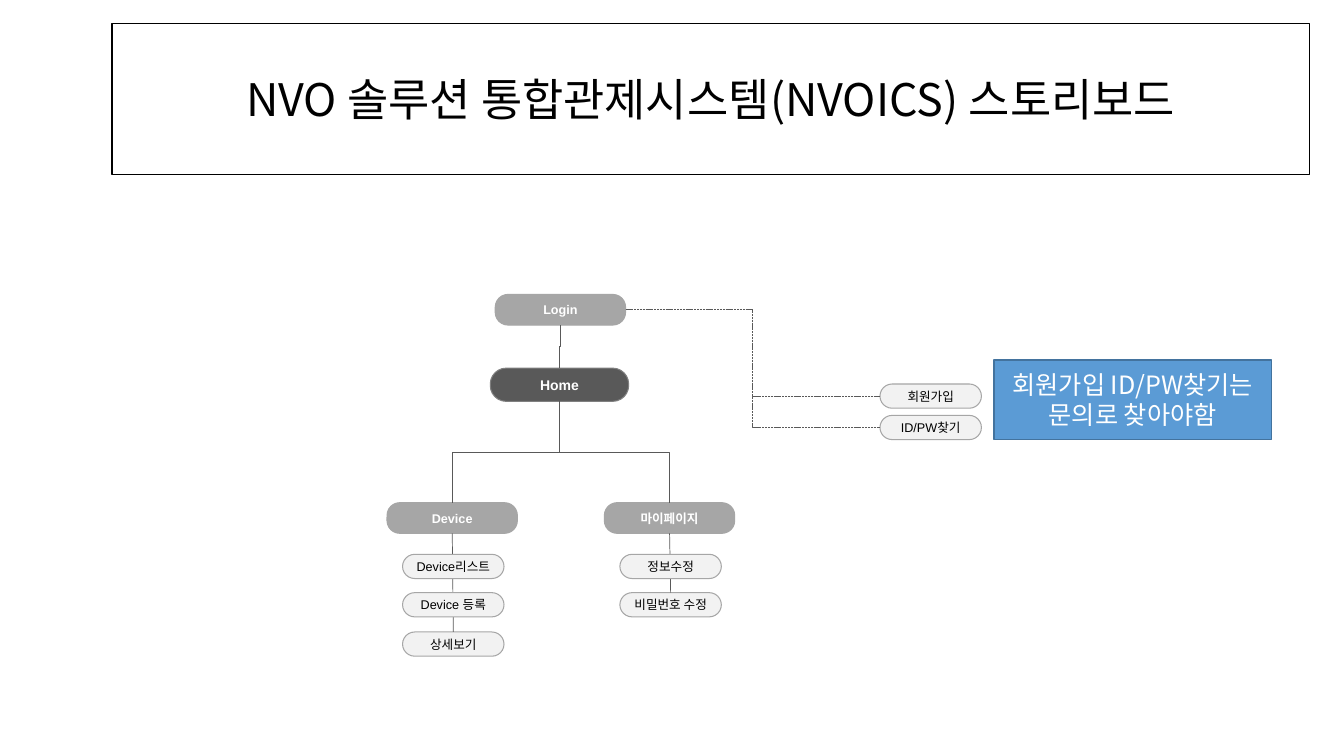
"""Builds the storyboard slide: a site map tree under a framed title."""
import lxml.etree
import pptx
import pptx.dml.color
import pptx.enum.dml
import pptx.enum.shapes
import pptx.enum.text
import pptx.oxml.ns
import pptx.util

COLOURS = {
    "white": "FFFFFF", "black": "000000", "dark": "595959", "edge": "808080",
    "grey": "A6A6A6", "pale": "F2F2F2", "blue": "5B9BD5", "navy": "43739E",
}
SHAPES = pptx.enum.shapes.MSO_SHAPE
CONNECTORS = pptx.enum.shapes.MSO_CONNECTOR
LATIN, KOREAN = "Arial", "Noto Sans CJK KR"
PILLS = {
    "home": dict(size=(10.3, 4.4), bend=0.479, fill="dark", line="edge", ink="white", points=10, bold=True),
    "branch": dict(size=(9.7, 4.05), bend=0.417, fill="grey", line="grey", ink="white", points=9, bold=True),
    "leaf": dict(size=(7.55, 3.2), bend=0.5, fill="pale", line="grey", ink="black", points=9, bold=False),
}
LEAF_ROWS = (73.33, 78.4, 83.6)


class Storyboard:
    """Draws styled elements on one page, with lengths in percent of its size."""

    def __init__(self):
        self.deck = pptx.Presentation()
        self.deck.slide_width = pptx.util.Inches(13.33)
        self.deck.slide_height = pptx.util.Inches(7.5)
        self.page = self.deck.slides.add_slide(self.deck.slide_layouts[5])

    def x(self, share):
        return round(self.deck.slide_width * share / 100)

    def y(self, share):
        return round(self.deck.slide_height * share / 100)

    def colour(self, name):
        return pptx.dml.color.RGBColor.from_string(COLOURS[name])

    def paint(self, box, fill, line, width):
        box.fill.solid()
        box.fill.fore_color.rgb = self.colour(fill)
        box.line.color.rgb = self.colour(line)
        box.line.width = pptx.util.Pt(width)

    def label(self, box, text, points, font, ink, bold=False):
        frame = box.text_frame
        frame.word_wrap = True
        frame.vertical_anchor = pptx.enum.text.MSO_ANCHOR.MIDDLE
        para = frame.paragraphs[0]
        para.text = text
        para.alignment = pptx.enum.text.PP_ALIGN.CENTER
        para.font.size = pptx.util.Pt(points)
        para.font.name = font
        para.font.bold = bold
        para.font.color.rgb = self.colour(ink)

    def title(self, text, left, top, width, height):
        box = self.page.shapes.title
        box.left, box.top = self.x(left), self.y(top)
        box.width, box.height = self.x(width), self.y(height)
        self.paint(box, "white", "black", 1)
        self.label(box, text, 32, KOREAN, "black")

    def shape(self, kind, left, top, width, height):
        box = self.page.shapes.add_shape(
            kind, self.x(left), self.y(top), self.x(width), self.y(height))
        box.shadow.inherit = False
        return box

    def note(self, text, left, top, width, height):
        box = self.shape(SHAPES.RECTANGLE, left, top, width, height)
        self.paint(box, "blue", "navy", 1)
        self.label(box, text, 18, KOREAN, "white")

    def pill(self, text, level, centre, top):
        style = PILLS[level]
        width, height = style["size"]
        box = self.shape(SHAPES.ROUNDED_RECTANGLE, centre - width / 2, top, width, height)
        box.adjustments[0] = style["bend"]
        self.paint(box, style["fill"], style["line"], 0.75)
        frame = box.text_frame
        frame.margin_left = frame.margin_right = pptx.util.Inches(0.02)
        frame.margin_top = frame.margin_bottom = pptx.util.Inches(0.02)
        self.label(box, text, style["points"], LATIN, style["ink"], style["bold"])
        return box

    def connector(self, kind, *ends):
        link = self.page.shapes.add_connector(kind, *(round(end) for end in ends))
        link.line.color.rgb = self.colour("dark")
        link.line.width = pptx.util.Pt(0.5)
        lxml.etree.SubElement(link._element.spPr, pptx.oxml.ns.qn("a:effectLst"))
        return link

    def stem(self, upper, lower):
        link = self.connector(CONNECTORS.STRAIGHT, 0, 0, 0, 0)
        link.begin_connect(upper, 2)
        link.end_connect(lower, 0)

    def elbow_down(self, upper, lower):
        start_x, start_y = upper.left + upper.width / 2, upper.top + upper.height
        end_x, end_y = lower.left + lower.width / 2, lower.top
        middle_x, middle_y = (start_x + end_x) / 2, (start_y + end_y) / 2
        across, down = (end_x - start_x) / 2, (end_y - start_y) / 2
        link = self.connector(CONNECTORS.ELBOW, middle_x - down, middle_y + across,
                              middle_x + down, middle_y - across)
        link._element.spPr.find(pptx.oxml.ns.qn("a:xfrm")).set("rot", "5400000")

    def elbow_right(self, first, second):
        link = self.connector(
            CONNECTORS.ELBOW, first.left + first.width, first.top + first.height / 2,
            second.left, second.top + second.height / 2)
        link.line.dash_style = pptx.enum.dml.MSO_LINE.SQUARE_DOT

    def branch(self, home, text, centre, leaves):
        head = self.pill(text, "branch", centre, 66.5)
        self.elbow_down(home, head)
        rows = list(zip(leaves, LEAF_ROWS))
        last_text, last_row = rows.pop()
        last = self.pill(last_text, "leaf", centre + 0.08, last_row)
        self.stem(head, last)
        for leaf, row in rows:
            self.pill(leaf, "leaf", centre + 0.08, row)


def main():
    board = Storyboard()
    board.title("NVO 솔루션 통합관제시스템(NVOICS) 스토리보드", 8.33, 3.07, 89.1, 20)
    login = board.pill("Login", "branch", 41.7, 38.95)
    home = board.pill("Home", "home", 41.63, 48.7)
    board.elbow_down(login, home)
    for text, row in (("회원가입", 50.8), ("ID/PW찾기", 54.95)):
        board.elbow_right(login, board.pill(text, "leaf", 69.25, row))
    board.branch(home, "Device", 33.65, ("Device리스트", "Device 등록", "상세보기"))
    board.branch(home, "마이페이지", 49.82, ("정보수정", "비밀번호 수정"))
    board.note("회원가입 ID/PW찾기는 문의로 찾아야함", 73.95, 47.6, 20.65, 10.55)
    board.deck.save("out.pptx")


if __name__ == "__main__":
    main()
